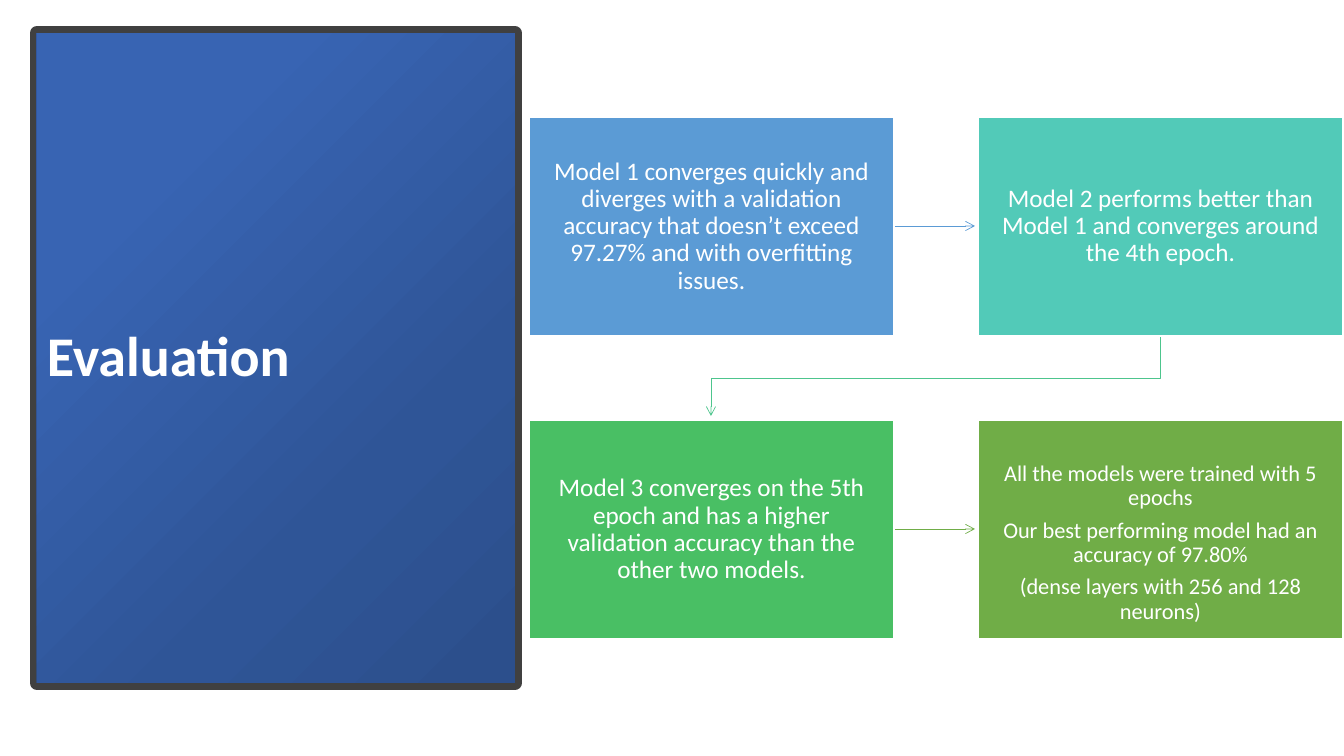
import dataclasses

import lxml.etree
import pptx
import pptx.dml.color
import pptx.enum.shapes
import pptx.enum.text
import pptx.oxml
import pptx.oxml.ns
import pptx.util

PX = 914400 / 100.8  # EMU per px


@dataclasses.dataclass(frozen=True)
class Theme:
    font: str = "Calibri"
    white: str = "FFFFFF"
    frame: str = "404040"
    blue: str = "5B9BD5"
    teal: str = "52CAB8"
    elbow: str = "4DC58D"
    green: str = "49BF64"
    olive: str = "70AD47"
    panel: tuple = ((0, "3864B3"), (23, "3864B3"), (69, "2F5597"), (97, "2C4F8C"))
    title_size: int = 40
    body_size: int = 18
    small_size: int = 16


def emu(px):
    return pptx.util.Emu(round(px * PX))


def rgb(color):
    return pptx.dml.color.RGBColor.from_string(color)


class SlideBuilder:
    def __init__(self, slide, theme):
        self.s = slide
        self.theme = theme

    def rect(self, x, y, w, h, fill, line=None, weight=1):
        sp = self.s.shapes.add_shape(
            pptx.enum.shapes.MSO_SHAPE.RECTANGLE, emu(x), emu(y), emu(w), emu(h))
        sp.shadow.inherit = False
        sp.fill.solid()
        sp.fill.fore_color.rgb = rgb(fill)
        if line:
            sp.line.color.rgb = rgb(line)
            sp.line.width = pptx.util.Pt(weight)
        else:
            sp.line.fill.background()
        return sp

    def corner_gradient(self, sp, stops):
        """Replace the solid fill with a gradient spreading from the top left."""
        gs = "".join(f'<a:gs pos="{pos * 1000}"><a:srgbClr val="{color}"/></a:gs>'
                     for pos, color in stops)
        grad = pptx.oxml.parse_xml(
            f'<a:gradFill {pptx.oxml.ns.nsdecls("a")} rotWithShape="1">'
            f'<a:gsLst>{gs}</a:gsLst><a:path path="circle">'
            '<a:fillToRect r="100000" b="100000"/></a:path></a:gradFill>')
        solid = sp._element.spPr.find(pptx.oxml.ns.qn("a:solidFill"))
        solid.getparent().replace(solid, grad)

    def text(self, sp, paragraphs, size, align, insets, bold=False):
        tf = sp.text_frame
        tf.word_wrap = True
        tf.vertical_anchor = pptx.enum.text.MSO_ANCHOR.MIDDLE
        tf.margin_left, tf.margin_top, tf.margin_right, tf.margin_bottom = map(emu, insets)
        for i, words in enumerate(paragraphs):
            p = tf.add_paragraph() if i else tf.paragraphs[0]
            p.alignment = align
            p.line_spacing = 0.9
            p.space_after = pptx.util.Pt(round(size * 0.35))
            r = p.add_run()
            r.text = words
            r.font.name = self.theme.font
            r.font.size = pptx.util.Pt(size)
            r.font.bold = bold
            r.font.color.rgb = rgb(self.theme.white)

    def arrow(self, points, color):
        """Draw a thin line through the points, with an open head at the last."""
        pts = [(emu(x), emu(y)) for x, y in points]
        if len(pts) == 2:
            sp = self.s.shapes.add_connector(
                pptx.enum.shapes.MSO_CONNECTOR.STRAIGHT, *pts[0], *pts[1])
        else:
            builder = self.s.shapes.build_freeform(*pts[0])
            builder.add_line_segments(pts[1:], close=False)
            sp = builder.convert_to_shape()
            sp.fill.background()
        sp.line.color.rgb = rgb(color)
        sp.line.width = pptx.util.Pt(0.5)
        qn = pptx.oxml.ns.qn
        lxml.etree.SubElement(sp.line._get_or_add_ln(), qn("a:tailEnd"), type="arrow")
        lxml.etree.SubElement(sp._element.spPr, qn("a:effectLst"))


def main():
    prs = pptx.Presentation()
    prs.slide_width, prs.slide_height = emu(1344), emu(756)
    theme = Theme()
    slide = SlideBuilder(prs.slides.add_slide(prs.slide_layouts[6]), theme)
    align = pptx.enum.text.PP_ALIGN

    # Title panel
    panel = (37, 33, 478, 650)
    slide.rect(*panel, theme.frame, theme.frame, 10)
    title = slide.rect(*panel, theme.blue)
    slide.corner_gradient(title, theme.panel)
    slide.text(title, ["Evaluation"], theme.title_size, align.LEFT, (10, 5, 10, 5), bold=True)

    # Findings, in a grid of two columns
    left, top, width, height = 529, 117, 365, 219
    col_step, row_step = 449, 303
    findings = [
        (theme.blue, theme.body_size, 19,
         ["Model 1 converges quickly and diverges with a validation accuracy "
          "that doesn’t exceed 97.27% and with overfitting issues."]),
        (theme.teal, theme.body_size, 19,
         ["Model 2 performs better than Model 1 and converges around the 4th epoch."]),
        (theme.green, theme.body_size, 19,
         ["Model 3 converges on the 5th epoch and has a higher validation accuracy "
          "than the other two models."]),
        (theme.olive, theme.small_size, 46,
         ["All the models were trained with 5 epochs",
          "Our best performing model had an accuracy of 97.80%",
          "(dense layers with 256 and 128 neurons)"]),
    ]
    for i, (color, size, inset_top, paragraphs) in enumerate(findings):
        row, col = divmod(i, 2)
        box = slide.rect(left + col * col_step, top + row * row_step, width, height,
                         color, theme.white)
        slide.text(box, paragraphs, size, align.CENTER, (18, inset_top, 18, 19))

    # Arrows in reading order
    for row, color in enumerate((theme.blue, theme.olive)):
        y = top + row * row_step + height // 2
        slide.arrow([(left + width + 1, y), (left + col_step - 3, y)], color)
    x1 = left + width // 2
    x2 = x1 + col_step
    bend = top + (height + row_step) // 2
    slide.arrow([(x2, top + height + 1), (x2, bend), (x1, bend), (x1, top + row_step - 4)],
                theme.elbow)

    prs.save("out.pptx")


if __name__ == "__main__":
    main()
